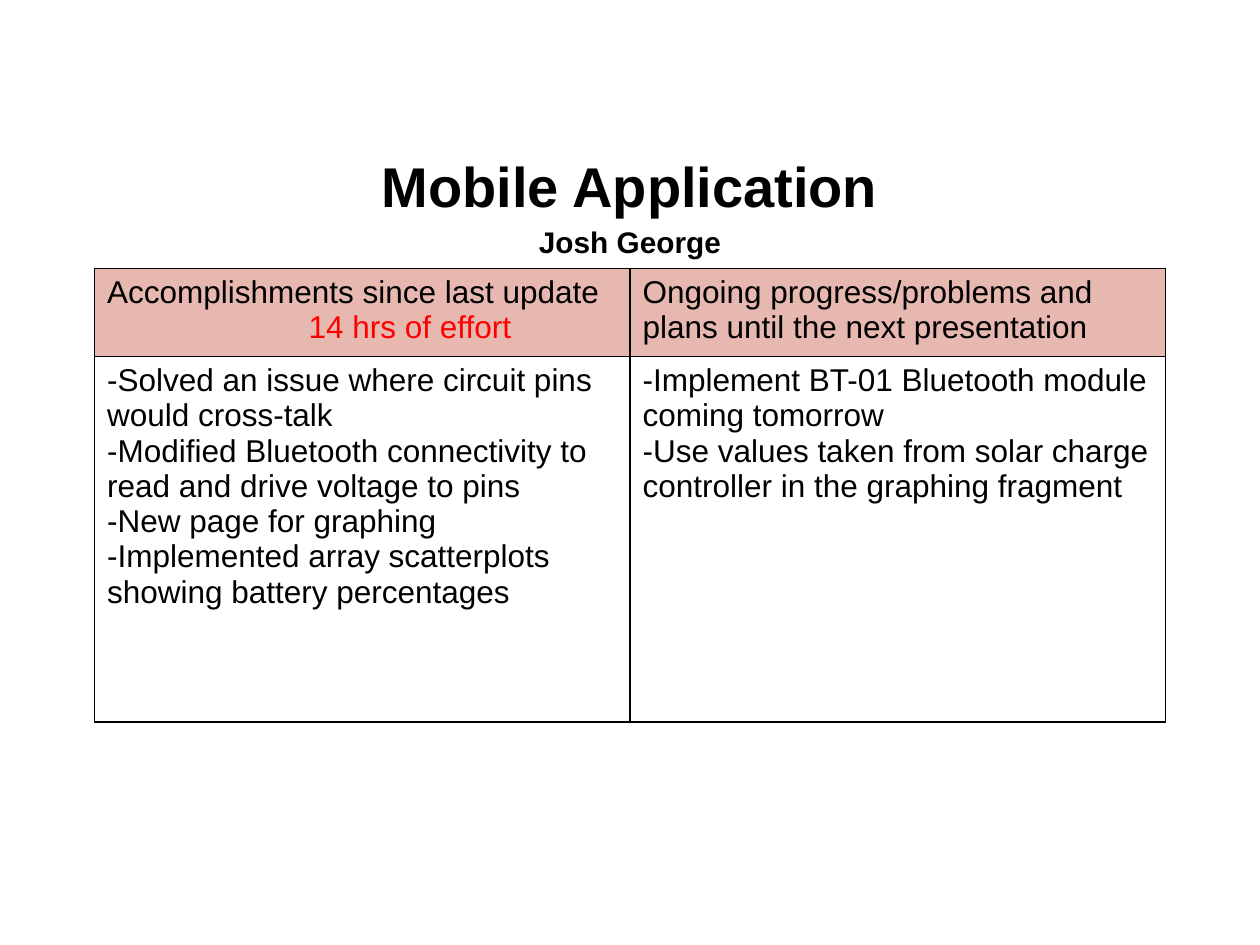
from lxml.etree import SubElement
from pptx import Presentation
from pptx.dml.color import RGBColor
from pptx.enum.text import MSO_ANCHOR as Anchor, PP_ALIGN as Align
from pptx.oxml.ns import qn
from pptx.util import Inches, Pt

BLACK = RGBColor(0x00, 0x00, 0x00)
RED = RGBColor(0xFF, 0x00, 0x00)
PINK = RGBColor(0xE6, 0xB8, 0xAF)

BODY = {"name": "Arial", "size": Pt(18), "bold": False}
TITLE = {"name": "Arial", "size": Pt(32), "bold": True}
SUBTITLE = {**TITLE, "size": Pt(17)}

HEADERS = [
    ["Accomplishments since last update", "14 hrs of effort"],
    ["Ongoing progress/problems and plans until the next presentation"],
]
DETAILS = [
    [
        "-Solved an issue where circuit pins would cross-talk",
        "-Modified Bluetooth connectivity to read and drive voltage to pins",
        "-New page for graphing",
        "-Implemented array scatterplots showing battery percentages",
    ],
    [
        "-Implement BT-01 Bluetooth module coming tomorrow",
        "-Use values taken from solar charge controller in the graphing fragment",
    ],
]


def write_paragraph(frame, index, text, font_format, color=BLACK):
    """Write one formatted paragraph and return it."""
    para = frame.add_paragraph() if index else frame.paragraphs[0]
    span = para.add_run()
    span.text = text
    for name, value in font_format.items():
        setattr(span.font, name, value)
    span.font.color.rgb = color
    return para


def add_heading(page):
    """Add the centred title with the presenter's name below it."""
    box = page.shapes.add_textbox(Inches(0.5), Inches(1.15), Inches(9), Inches(0.88))
    frame = box.text_frame
    frame.word_wrap = True
    frame.vertical_anchor = Anchor.MIDDLE
    lines = [("Mobile Application", TITLE), ("Josh George", SUBTITLE)]
    for index, (text, font_format) in enumerate(lines):
        para = write_paragraph(frame, index, text, font_format)
        para.alignment = Align.CENTER
        para.line_spacing = 1.15


def outline_cell(cell):
    """Give a cell thin black borders on all four sides."""
    properties = cell._tc.get_or_add_tcPr()
    for position, side in enumerate(("lnL", "lnR", "lnT", "lnB")):
        line = SubElement(properties, qn(f"a:{side}"), w=str(Pt(1)))
        fill = SubElement(line, qn("a:solidFill"))
        SubElement(fill, qn("a:srgbClr"), val=str(BLACK))
        properties.insert(position, line)


def fill_cell(cell, lines, header):
    """Write the lines of a cell and set its fill and borders."""
    if header:
        cell.fill.solid()
        cell.fill.fore_color.rgb = PINK
    else:
        cell.fill.background()
    outline_cell(cell)
    for index, text in enumerate(lines):
        effort = header and index > 0
        para = write_paragraph(cell.text_frame, index, text, BODY, RED if effort else BLACK)
        if effort:
            para._p.get_or_add_pPr().set("marL", str(Inches(1.6)))


def add_status_table(page):
    """Add the two-column table of progress and plans."""
    frame = page.shapes.add_table(
        2, 2, Inches(0.75), Inches(2.13), Inches(8.5), Inches(3.6)
    )
    table = frame.table
    for row, height in zip(table.rows, (0.7, 2.9)):
        row.height = Inches(height)
    for row, contents in enumerate((HEADERS, DETAILS)):
        for column, lines in enumerate(contents):
            fill_cell(table.cell(row, column), lines, header=row == 0)


def main():
    """Build and save the status slide."""
    deck = Presentation()
    deck.slide_width, deck.slide_height = Inches(10), Inches(7.5)
    page = deck.slides.add_slide(deck.slide_layouts[6])
    add_heading(page)
    add_status_table(page)
    deck.save("out.pptx")


if __name__ == "__main__":
    main()
